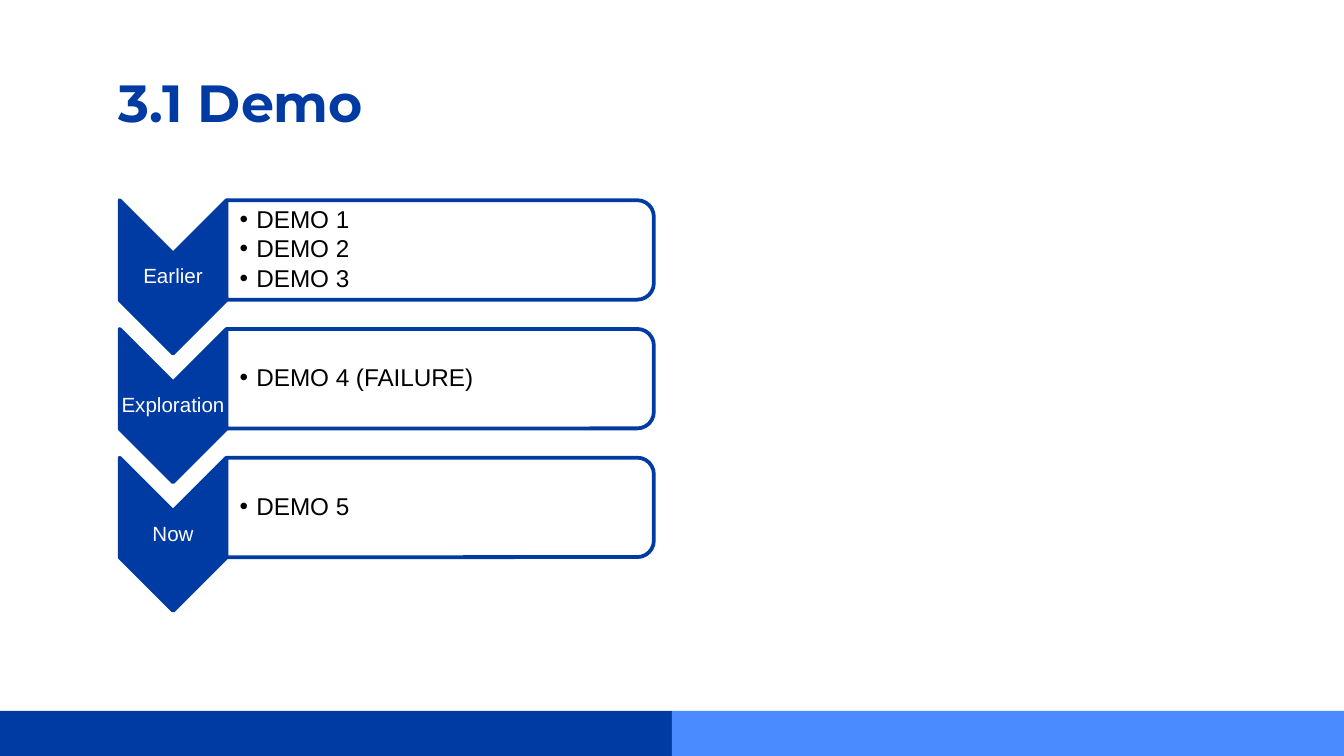
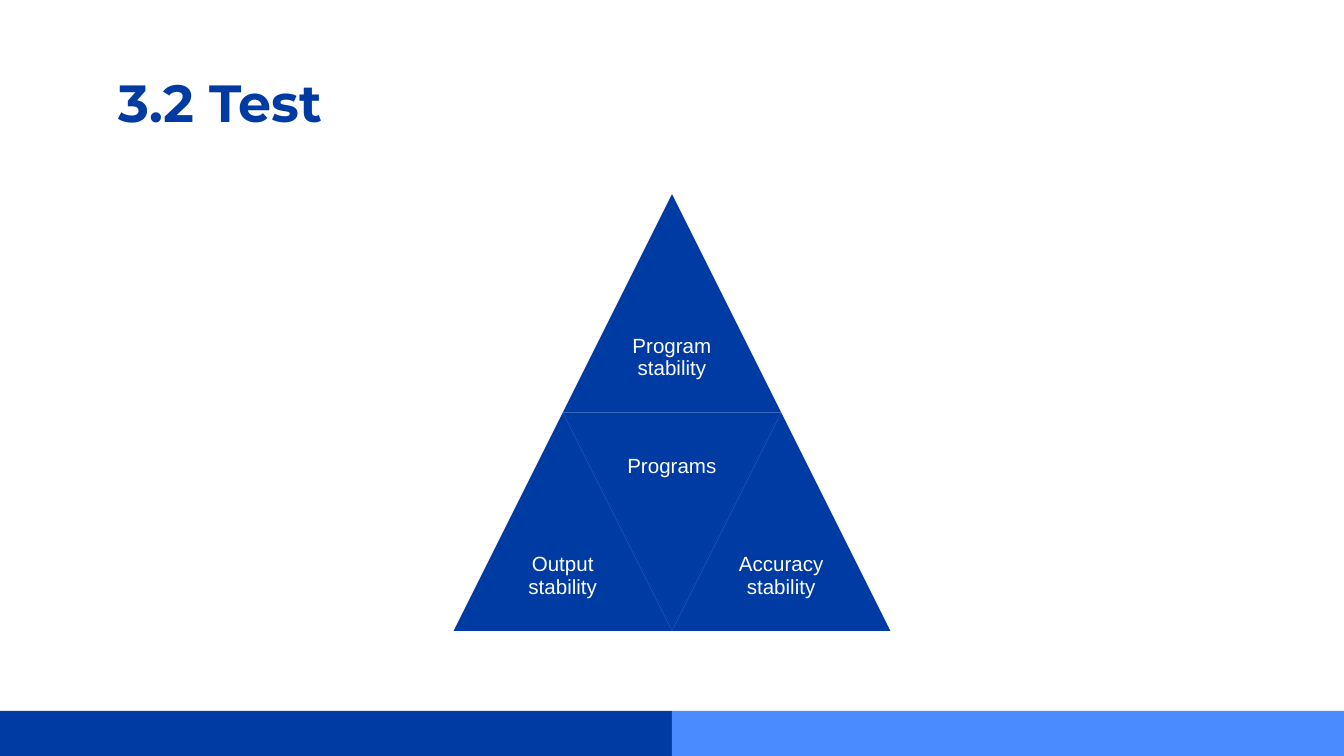
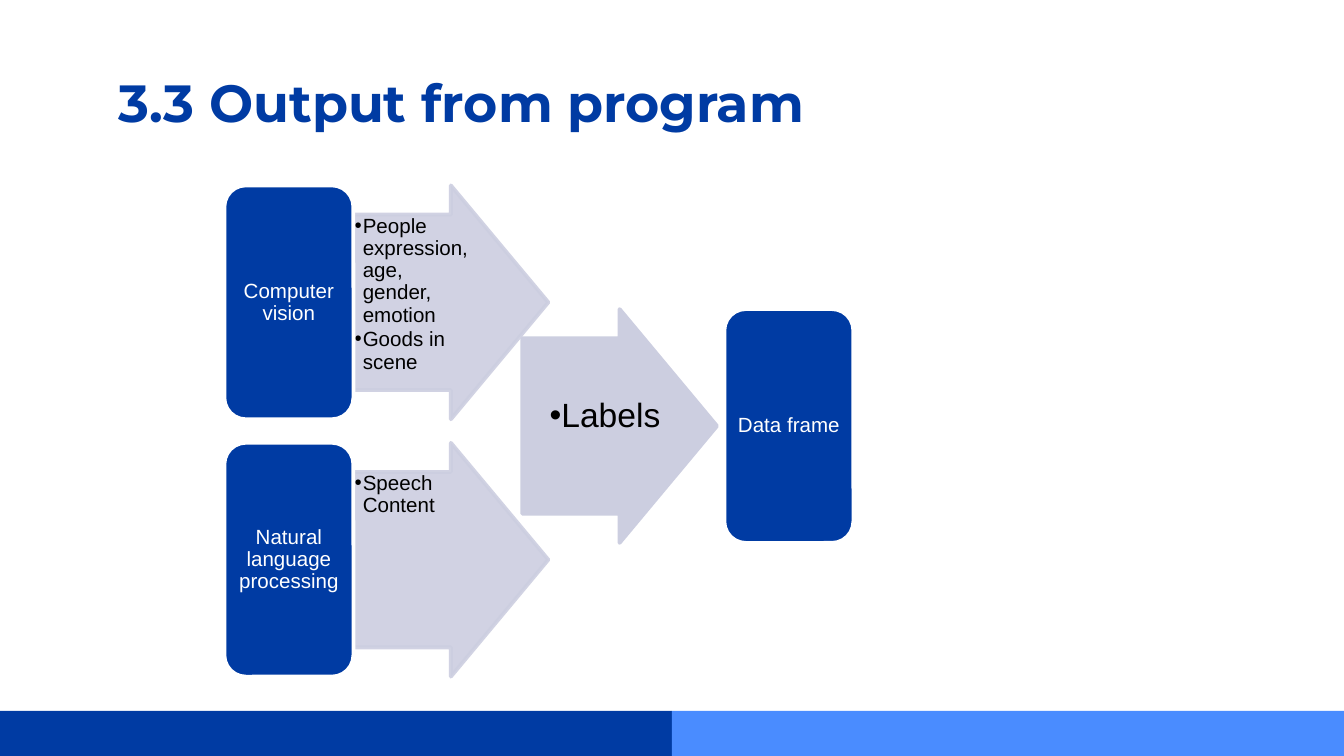
from lxml.etree import SubElement
from pptx import Presentation
from pptx.dml.color import RGBColor
from pptx.enum.shapes import MSO_SHAPE as Preset
from pptx.enum.text import MSO_ANCHOR as Anchor, PP_ALIGN as Align
from pptx.oxml.ns import qn
from pptx.util import Inches, Pt

NAVY, SKY, LAVENDER = "003BA3", "4A8CFF", "CCCEE0"
WHITE, BLACK = "FFFFFF", "000000"
BODY_FONT, TITLE_FONT = "Arial", "Montserrat"
COLUMNS = 100  # square grid cells across the slide


def color(hex_string):
    return RGBColor.from_string(hex_string)


def paint(fill, hex_string, opacity=100):
    """Give a fill a solid colour, with an opacity in percent."""
    fill.solid()
    fill.fore_color.rgb = color(hex_string)
    if opacity < 100:
        rgb = fill._xPr.find(".//" + qn("a:srgbClr"))
        SubElement(rgb, qn("a:alpha"), val=str(opacity * 1000))


def add_bullet(paragraph, indent):
    properties = paragraph._p.get_or_add_pPr()
    properties.set("marL", str(indent))
    properties.set("indent", str(-indent))
    bullet_color = SubElement(properties, qn("a:buClr"))
    SubElement(bullet_color, qn("a:srgbClr"), val=BLACK)
    SubElement(properties, qn("a:buFont"), typeface=BODY_FONT)
    SubElement(properties, qn("a:buChar"), char="•")


class Deck:
    """Holds the style and the current slide; frames are (left, top, width, height) in cells."""

    def __init__(self):
        self.presentation = Presentation()
        self.presentation.slide_width = Inches(10)
        self.presentation.slide_height = Inches(5.625)
        self.cell = self.presentation.slide_width / COLUMNS
        self.slide = None

    def cells(self, *counts):
        return [round(count * self.cell) for count in counts]

    def start_slide(self, title):
        layout = self.presentation.slide_layouts[6]
        self.slide = self.presentation.slides.add_slide(layout)
        half = COLUMNS / 2
        for index, band_color in enumerate((NAVY, SKY)):
            self.shape(Preset.RECTANGLE, (index * half, 52.9, half, 3.35), band_color)
        frame = self.text_frame((7.87, 4.2, 84.3, 10.2), (1, 1), Anchor.TOP)
        self.run(frame.paragraphs[0], title, 28, NAVY, TITLE_FONT, bold=True)

    def shape(self, preset, frame, fill, line=None, opacity=100, line_opacity=100,
              quarter_turns=0, adjustments=()):
        """Draw a preset that covers the frame once it has been turned."""
        left, top, width, height = frame
        if quarter_turns % 2:
            shift = (width - height) / 2
            left, top, width, height = left + shift, top - shift, height, width
        shape = self.slide.shapes.add_shape(preset, *self.cells(left, top, width, height))
        shape.rotation = 90 * quarter_turns
        shape.shadow.inherit = False
        for index, value in enumerate(adjustments):
            shape.adjustments[index] = value
        paint(shape.fill, fill, opacity)
        if line:
            paint(shape.line.fill, line, line_opacity)
            shape.line.width = Pt(2)
        else:
            shape.line.fill.background()

    def text_frame(self, frame, insets, anchor, left_inset=None):
        """Add a text box; insets are horizontal and vertical."""
        text_frame = self.slide.shapes.add_textbox(*self.cells(*frame)).text_frame
        text_frame.word_wrap = True
        text_frame.vertical_anchor = anchor
        horizontal, vertical = self.cells(*insets)
        text_frame.margin_left = text_frame.margin_right = horizontal
        text_frame.margin_top = text_frame.margin_bottom = vertical
        if left_inset is not None:
            text_frame.margin_left = self.cells(left_inset)[0]
        return text_frame

    def run(self, paragraph, text, size, text_color, font=BODY_FONT, bold=False):
        run = paragraph.add_run()
        run.text = text
        run.font.name, run.font.size, run.font.bold = font, Pt(size), bold
        run.font.color.rgb = color(text_color)

    def label(self, frame, text, insets):
        """Write white text in the middle of the frame."""
        paragraph = self.text_frame(frame, insets, Anchor.MIDDLE).paragraphs[0]
        paragraph.alignment = Align.CENTER
        paragraph.line_spacing = 0.9
        self.run(paragraph, text, 11, WHITE)

    def bullets(self, frame, items, size, indent, anchor=Anchor.TOP, left_inset=0.1):
        text_frame = self.text_frame(frame, (0.1, 0.1), anchor, left_inset)
        for index, item in enumerate(items):
            paragraph = text_frame.add_paragraph() if index else text_frame.paragraphs[0]
            paragraph.level = 1
            paragraph.line_spacing = 0.9
            paragraph.space_after = Pt(0.13 * size)
            add_bullet(paragraph, self.cells(indent)[0])
            self.run(paragraph, item, size, BLACK)

    def phase(self, top, name, demos):
        """Draw a downward chevron and the box of demos beside it."""
        left, width = 8.9, 7.95
        self.shape(Preset.CHEVRON, (left, top, width, 11.4), NAVY, NAVY, quarter_turns=1)
        self.label((left, top + 4, width, 3.4), name, (0.1, 0.1))
        box_left = left + width
        self.shape(Preset.ROUND_2_SAME_RECTANGLE, (box_left, top, 31.8, 7.4), WHITE, NAVY,
                   opacity=90, quarter_turns=1)
        self.bullets((box_left, top + 0.35, 31.4, 6.7), demos, 13, 1.25, Anchor.MIDDLE, 1)

    def triangle(self, left, top, side, text, inverted=False):
        self.shape(Preset.ISOSCELES_TRIANGLE, (left, top, side, side), NAVY,
                   quarter_turns=2 if inverted else 0)
        half = side / 2
        text_top = top if inverted else top + half
        self.label((left + half / 2, text_top, half, half), text, (0.5, 0.5))

    def arrow(self, left, top, opacity=90):
        self.shape(Preset.RIGHT_ARROW, (left, top, 14.5, 17.4), LAVENDER, LAVENDER,
                   opacity=opacity, line_opacity=opacity, adjustments=(0.75, 0.5))

    def stage(self, left, top, text):
        self.shape(Preset.ROUNDED_RECTANGLE, (left, top, 9.6, 17.4), NAVY, WHITE)
        self.label((left + 0.45, top + 0.45, 8.7, 16.5), text, (0.5, 0.2))


def build_demo(deck):
    deck.start_slide("3.1 Demo")
    phases = [
        ("Earlier", ["DEMO 1", "DEMO 2", "DEMO 3"]),
        ("Exploration", ["DEMO 4 (FAILURE)"]),
        ("Now", ["DEMO 5"]),
    ]
    for index, (name, demos) in enumerate(phases):
        deck.phase(14.9 + 9.58 * index, name, demos)


def build_test(deck):
    deck.start_slide("3.2 Test")
    side, top, center = 16.25, 14.45, COLUMNS / 2
    base = top + side
    deck.triangle(center - side / 2, top, side, "Program stability")
    deck.triangle(center - side, base, side, "Output stability")
    deck.triangle(center - side / 2, base, side, "Programs", inverted=True)
    deck.triangle(center, base, side, "Accuracy stability")


def build_output(deck):
    deck.start_slide("3.3 Output from program")
    sources = [
        ("Computer vision", ["People expression, age, gender, emotion", "Goods in scene"]),
        ("Natural language processing", ["Speech Content"]),
    ]
    for index, (name, findings) in enumerate(sources):
        top = 13.8 + 19.15 * index
        deck.arrow(26.3, top)
        deck.bullets((26.3, top + 2.15, 9, 13), findings, 11, 0.6)
        deck.stage(16.7, top, name)
    deck.arrow(38.85, 23, opacity=100)
    deck.bullets((40.8, 29.55, 9.2, 12.9), ["Labels"], 18, 0.6)
    deck.stage(53.9, 23, "Data frame")


def main():
    deck = Deck()
    for build in (build_demo, build_test, build_output):
        build(deck)
    deck.presentation.save("out.pptx")


if __name__ == "__main__":
    main()
